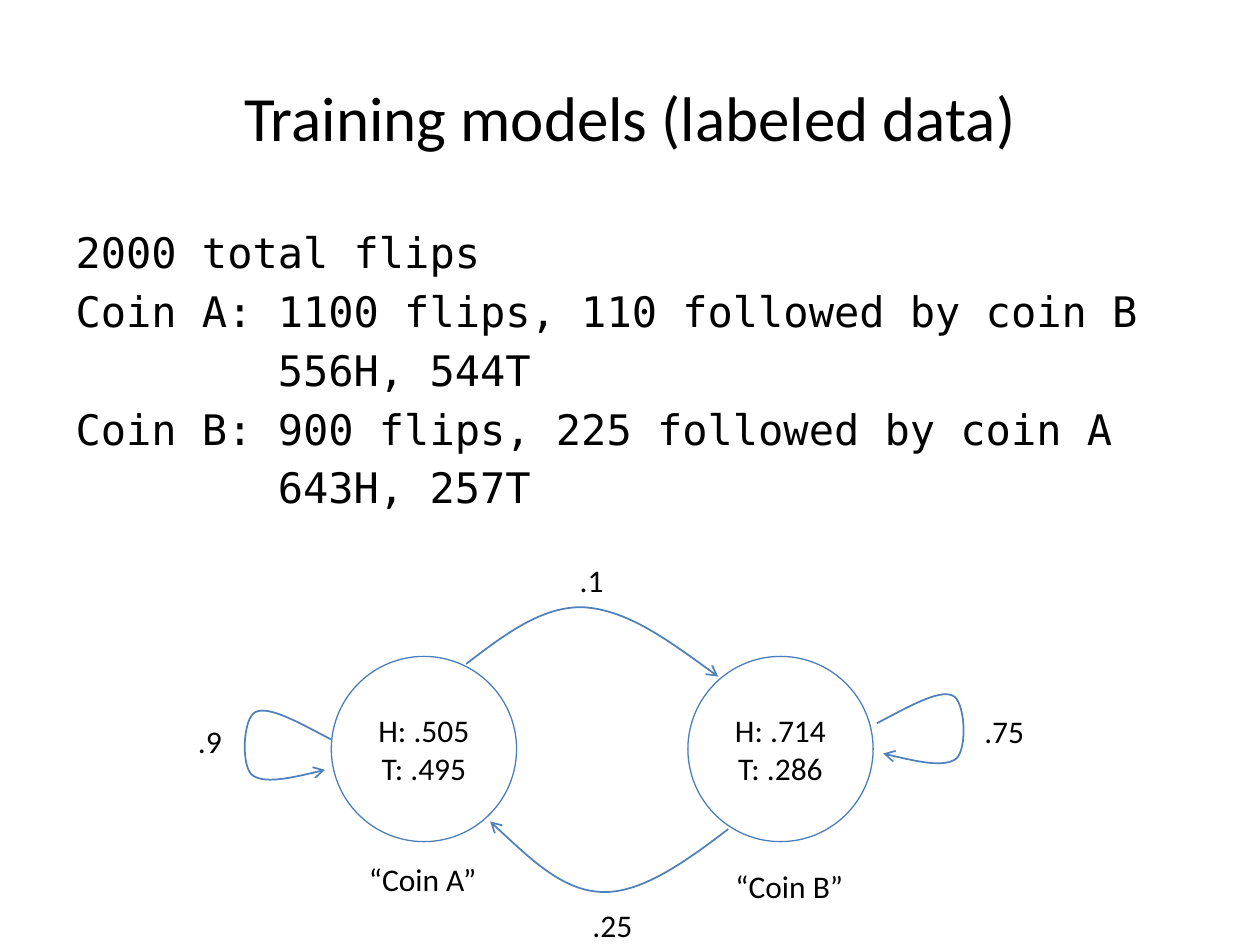
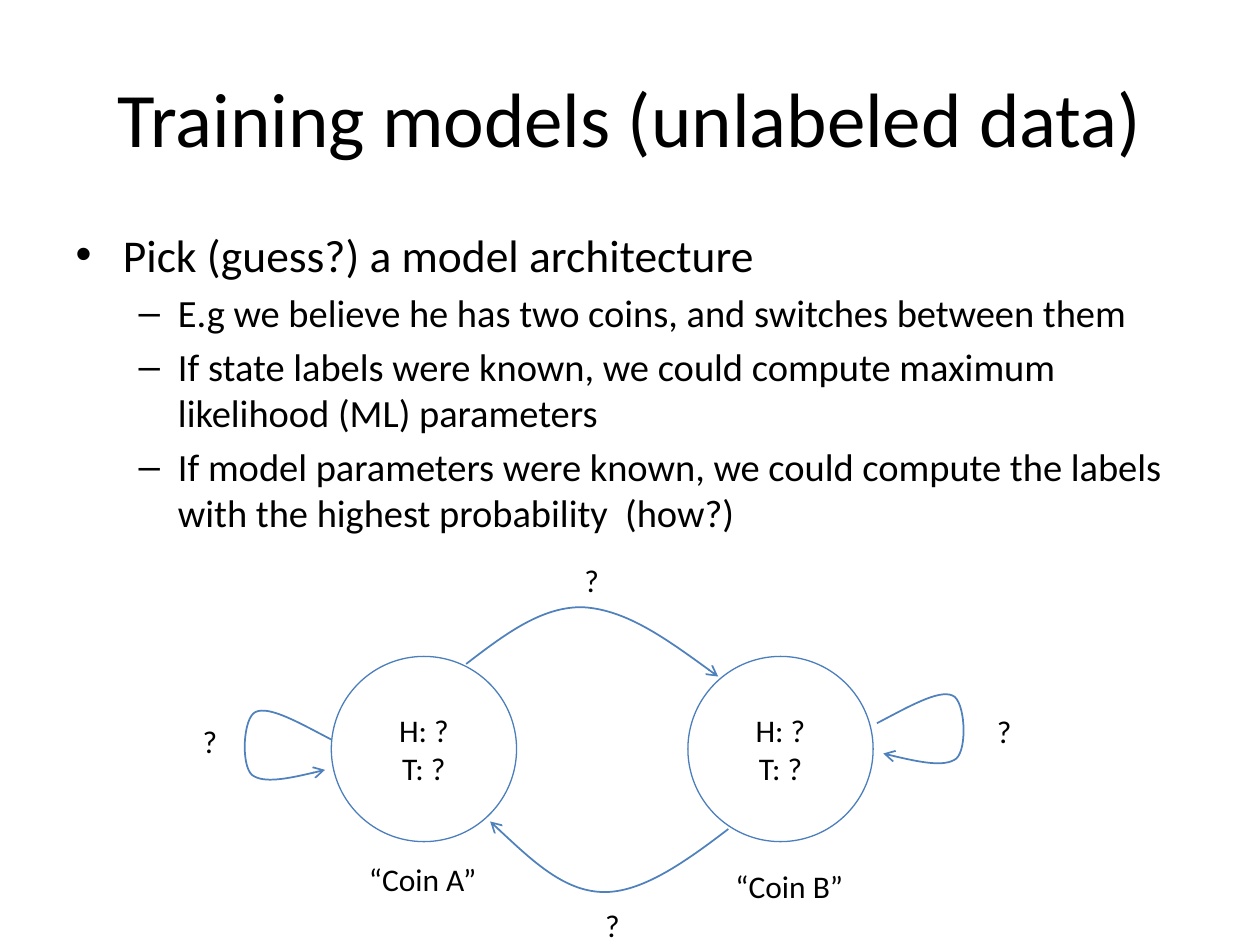
"""Build two slides on training a two-coin model, with labeled and unlabeled data."""
import dataclasses

import pptx
import pptx.dml.color
import pptx.enum.shapes
import pptx.enum.text
import pptx.oxml.xmlchemy
import pptx.util


@dataclasses.dataclass(frozen=True)
class Theme:
    ink: str = "000000"
    circle_line: str = "4B7EBC"
    arrow_line: str = "4F81BD"
    font: str = "Calibri"
    data_font: str = "DejaVu Sans Mono"
    label_size: int = 18
    data_size: int = 24
    bullet_sizes: tuple = (26, 22)


theme = Theme()
ALIGN = pptx.enum.text.PP_ALIGN
ANCHOR = pptx.enum.text.MSO_ANCHOR
AUTO_SIZE = pptx.enum.text.MSO_AUTO_SIZE

presentation = pptx.Presentation()
presentation.slide_width = pptx.util.Inches(10)
presentation.slide_height = pptx.util.Inches(7.5)
cell = presentation.slide_width / 100


def place(shape, left, top, width, height):
    """Put a shape on the grid of 100 columns and 75 rows."""
    box = {"left": left, "top": top, "width": width, "height": height}
    for name, cells in box.items():
        setattr(shape, name, round(cells * cell))


def write(shape, lines, size, frame_format, font=theme.font, alignment=ALIGN.CENTER):
    """Fill a shape with one paragraph per line and format them all."""
    frame = shape.text_frame
    frame.text = "\n".join(lines)
    for name, value in frame_format.items():
        setattr(frame, name, value)
    for paragraph in frame.paragraphs:
        paragraph.alignment = alignment
        for run in paragraph.runs:
            for name, value in {"name": font, "size": pptx.util.Pt(size)}.items():
                setattr(run.font, name, value)
            run.font.color.rgb = pptx.dml.color.RGBColor.from_string(theme.ink)


title_frame = {"vertical_anchor": ANCHOR.MIDDLE, "auto_size": AUTO_SIZE.NONE}
body_frame = {"vertical_anchor": ANCHOR.TOP, "auto_size": AUTO_SIZE.NONE}
circle_frame = {"vertical_anchor": ANCHOR.MIDDLE, "word_wrap": True}
label_frame = {"word_wrap": False, "auto_size": AUTO_SIZE.SHAPE_TO_FIT_TEXT}

circle_lefts, circle_top, circle_size = (26.3, 54.6), 52.1, 14.7
label_height = 4
label_widths = {1: 3.2, 2: 3.9, 3: 5.2, 8: 10.7}
coin_labels = [("“Coin A”", 33.55, 67.8), ("“Coin B”", 62.65, 68.3)]
transition_spots = {"A to A": (16.65, 56.8), "A to B": (46.95, 44),
                    "B to B": (79.7, 56), "B to A": (48.6, 71.4)}

loop_b = [(69.6, 57.4), (72.1, 56.1), (74.5, 54.7), (75.6, 55.2), (76.6, 55.6),
          (76.8, 59.4), (75.9, 60.2), (75, 60.9), (72.5, 60.4), (70.1, 59.8)]
loop_a = [(95.9 - x, y + 1.3) for x, y in loop_b]
arc_a_to_b = [(37, 52.7), (40, 50.4), (43, 48.1), (46.3, 48.2),
              (49.7, 48.4), (53.3, 51), (57, 53.7)]
arc_b_to_a = [(57.8, 65.8), (54.4, 68.4), (50.9, 70.9), (47.8, 70.8),
              (44.7, 70.7), (41.8, 67.9), (38.9, 65.2)]

slides = [
    {
        "title": "Training models (labeled data)",
        "title_size": 36,
        "body_height": 27.6,
        "data": [
            (0, "2000 total flips"),
            (0, "Coin A: 1100 flips, 110 followed by coin B"),
            (16.05, "556H, 544T"),
            (0, "Coin B: 900 flips, 225 followed by coin A"),
            (16.05, "643H, 257T"),
        ],
        "emissions": [("H: .505", "T: .495"), ("H: .714", "T: .286")],
        "transitions": {"A to A": ".9", "A to B": ".1", "B to B": ".75", "B to A": ".25"},
    },
    {
        "title": "Training models (unlabeled data)",
        "title_size": 44,
        "body_height": 49.5,
        "bullets": [
            (0, "Pick (guess?) a model architecture"),
            (1, "E.g we believe he has two coins, and switches between them"),
            (1, "If state labels were known, we could compute maximum likelihood (ML) parameters"),
            (1, "If model parameters were known, we could compute the labels "
                "with the highest probability  (how?)"),
        ],
        "emissions": [("H: ?", "T: ?")] * 2,
        "transitions": dict.fromkeys(transition_spots, "?"),
    },
]

for content in slides:
    slide = presentation.slides.add_slide(presentation.slide_layouts[1])
    title, body = slide.placeholders
    place(title, 5, 3, 90, 12.5)
    write(title, [content["title"]], content["title_size"], title_frame)

    place(body, 5, 17.5, 90, content["body_height"])
    if "data" in content:
        write(body, [line for _, line in content["data"]], theme.data_size,
              body_frame, theme.data_font, ALIGN.LEFT)
        for paragraph, (indent, _) in zip(body.text_frame.paragraphs, content["data"]):
            properties = paragraph._p.get_or_add_pPr()
            properties.set("marL", str(round(indent * cell)))
            properties.set("indent", "0")
            properties.append(pptx.oxml.xmlchemy.OxmlElement("a:buNone"))
    else:
        write(body, [line for _, line in content["bullets"]], theme.bullet_sizes[0],
              body_frame, alignment=ALIGN.LEFT)
        for paragraph, (level, _) in zip(body.text_frame.paragraphs, content["bullets"]):
            paragraph.level = level
            paragraph.runs[0].font.size = pptx.util.Pt(theme.bullet_sizes[level])

    for left, emission in zip(circle_lefts, content["emissions"]):
        circle = slide.shapes.add_shape(pptx.enum.shapes.MSO_SHAPE.OVAL, 0, 0, 0, 0)
        place(circle, left, circle_top, circle_size, circle_size)
        circle.shadow.inherit = False
        circle.fill.background()
        circle.line.color.rgb = pptx.dml.color.RGBColor.from_string(theme.circle_line)
        circle.line.width = pptx.util.Pt(0.75)
        write(circle, emission, theme.label_size, circle_frame)

    for points in (arc_a_to_b, arc_b_to_a, loop_b, loop_a):
        start, *controls = [(round(x * cell), round(y * cell)) for x, y in points]
        builder = slide.shapes.build_freeform(*start)
        builder.add_line_segments(controls, close=False)
        arrow = builder.convert_to_shape()
        arrow.shadow.inherit = False
        arrow.fill.background()
        arrow.line.color.rgb = pptx.dml.color.RGBColor.from_string(theme.arrow_line)
        arrow.line.width = pptx.util.Pt(1)
        segments = arrow.element.xpath(".//a:lnTo")
        for first in range(0, len(segments), 3):
            curve = pptx.oxml.xmlchemy.OxmlElement("a:cubicBezTo")
            segments[first].addprevious(curve)
            for segment in segments[first:first + 3]:
                curve.append(segment[0])
                segment.getparent().remove(segment)
        head = pptx.oxml.xmlchemy.OxmlElement("a:tailEnd")
        head.set("type", "arrow")
        arrow.element.xpath("./p:spPr/a:ln")[0].append(head)

    transition_labels = [(content["transitions"][move], *spot)
                         for move, spot in transition_spots.items()]
    for text, center, top in coin_labels + transition_labels:
        width = label_widths[len(text)]
        label = slide.shapes.add_textbox(0, 0, 0, 0)
        place(label, center - width / 2, top, width, label_height)
        write(label, [text], theme.label_size, label_frame)

presentation.save("out.pptx")
